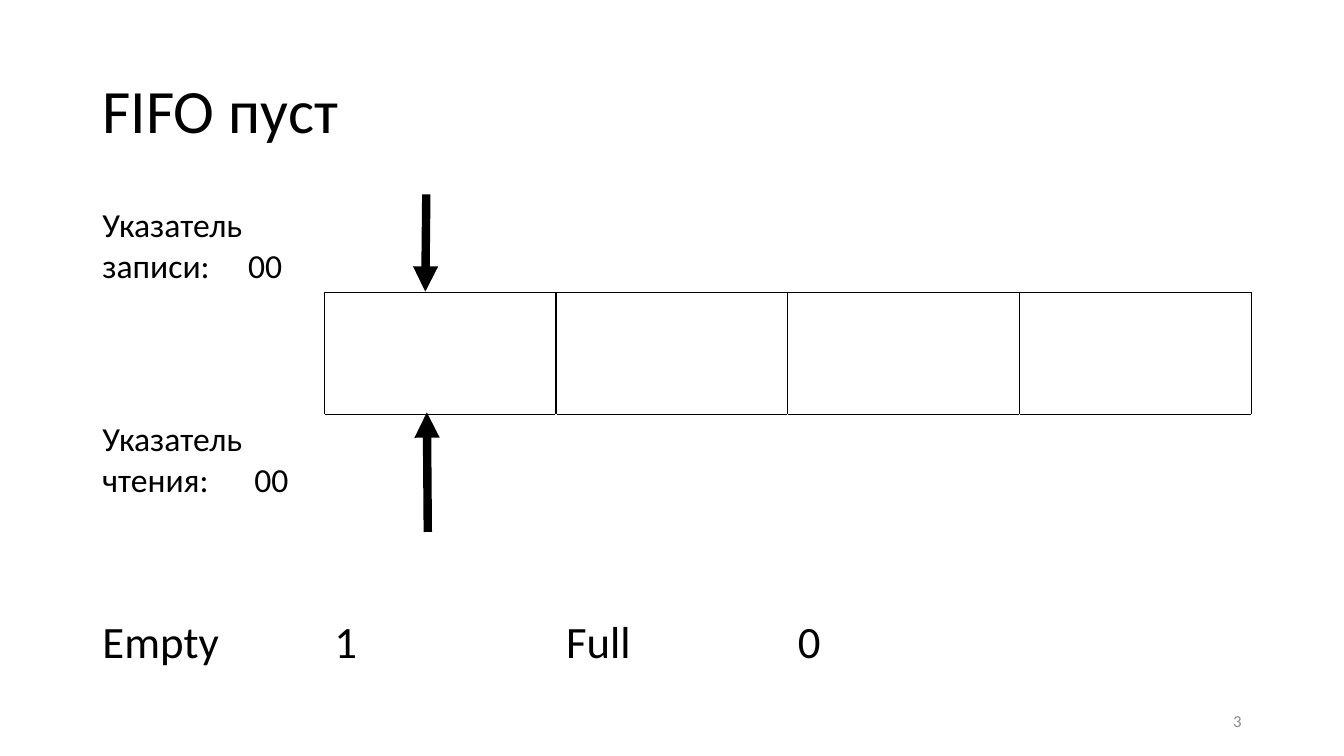
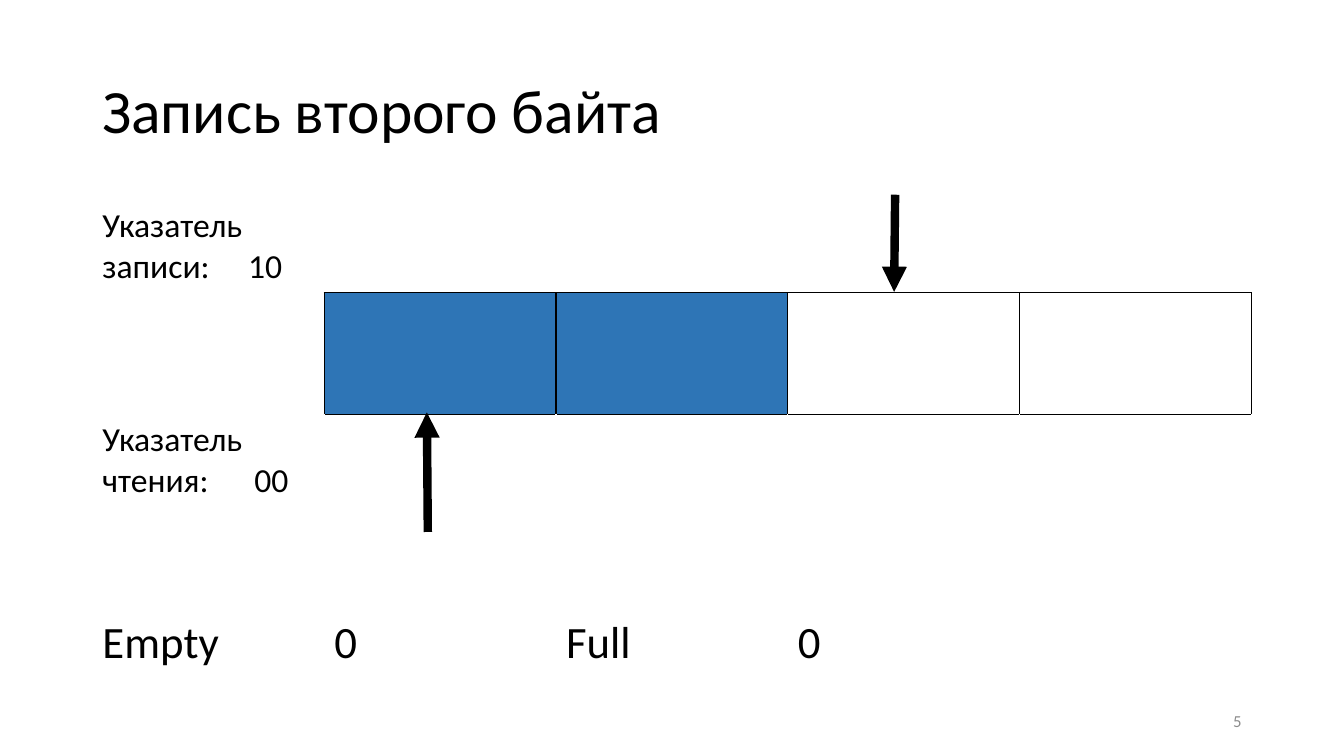
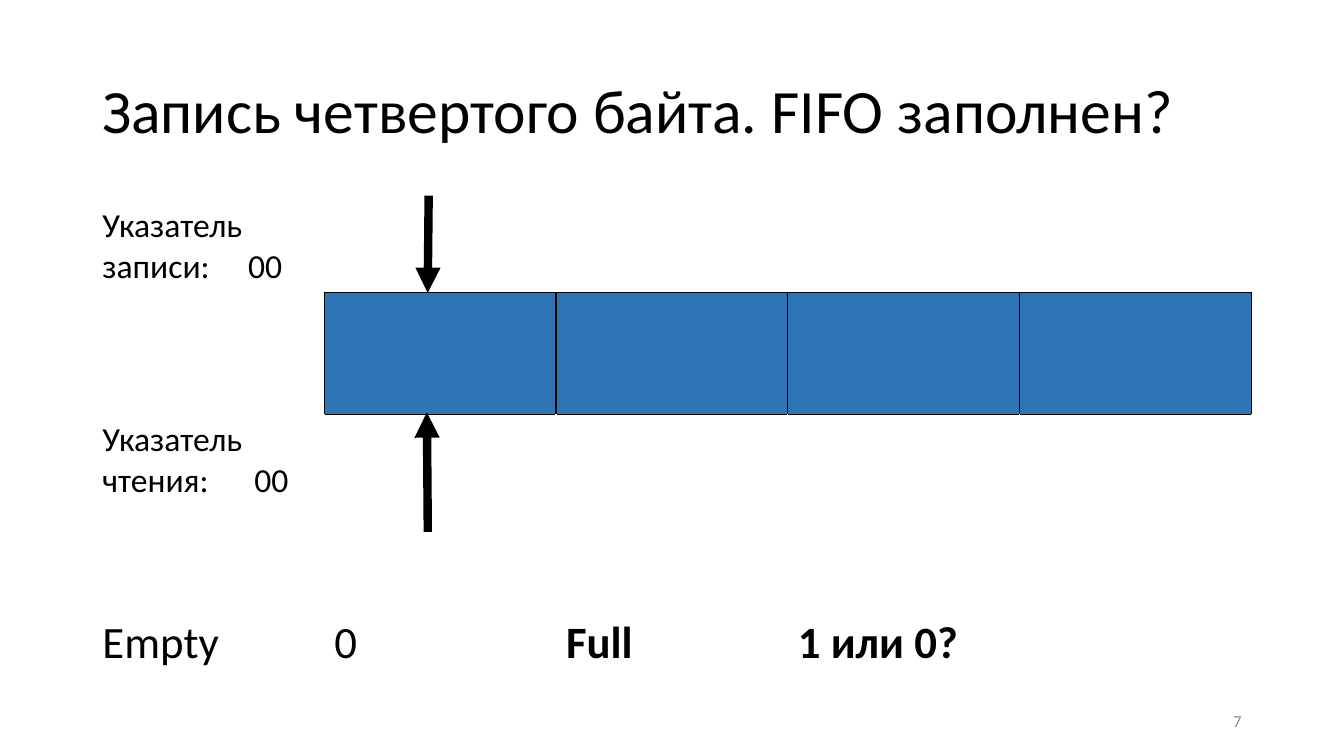
import dataclasses
import typing

import lxml.etree
import pptx
import pptx.dml.color
import pptx.enum.shapes
import pptx.enum.text
import pptx.oxml.ns
import pptx.util

Pt = pptx.util.Pt
qn = pptx.oxml.ns.qn
Anchor = pptx.enum.text.MSO_ANCHOR
Align = pptx.enum.text.PP_ALIGN

BLACK = pptx.dml.color.RGBColor(0x00, 0x00, 0x00)
WHITE = pptx.dml.color.RGBColor(0xFF, 0xFF, 0xFF)
GREY = pptx.dml.color.RGBColor(0x8C, 0x8C, 0x8C)
BLUE = pptx.dml.color.RGBColor(0x2E, 0x75, 0xB6)

FACE = "Calibri"
LEFT, WIDTH = 66, 828
TOP = 122.6
ROWS = (86.6, 86.6, 100.2, 86.6)
COLS = 5
STORE = 1  # table row that holds the FIFO cells
SIDES = {"lnL": (0, -1), "lnR": (0, 1), "lnT": (-1, 0), "lnB": (1, 0)}


class Point(typing.NamedTuple):
    x: float
    y: float


class Label(typing.NamedTuple):
    text: str
    size: float = 32
    bold: bool = False
    tab: float = 0


@dataclasses.dataclass(frozen=True)
class State:
    """What one slide tells about the FIFO."""
    title: str
    head: str
    used: int
    empty: str
    full: str
    tip: Point
    page: int
    bold: bool = False


STATES = (
    State("FIFO пуст", "00", 0, "1", "0", Point(303.8, 208.3), 3),
    State("Запись второго байта", "10", 2, "0", "0", Point(638.7, 208.5), 5),
    State("Запись четвертого байта. FIFO заполнен?", "00", 4, "0", "1 или 0?",
          Point(305.5, 209.2), 7, True),
)


def assign(target: typing.Any, form: dict[str, typing.Any]) -> None:
    for name, value in form.items():
        setattr(target, name, value)


def set_text(frame: typing.Any, label: Label, color: typing.Any = BLACK,
             **form: typing.Any) -> None:
    """Fill a text frame with one paragraph; form holds its format."""
    para = frame.paragraphs[0]
    assign(para, form)
    run = para.add_run()
    run.text = label.text
    assign(run.font, {"name": FACE, "size": Pt(label.size), "bold": label.bold})
    run.font.color.rgb = color
    if label.tab:
        stops = lxml.etree.SubElement(para._p.get_or_add_pPr(), qn("a:tabLst"))
        lxml.etree.SubElement(stops, qn("a:tab"), pos=str(Pt(label.tab)), algn="l")


def add_text(slide: typing.Any, box: tuple[float, ...], label: Label,
             color: typing.Any = BLACK, **form: typing.Any) -> None:
    frame = slide.shapes.add_textbox(*map(Pt, box)).text_frame
    assign(frame, {"word_wrap": True, "vertical_anchor": Anchor.MIDDLE})
    set_text(frame, label, color, **form)


def add_arrow(slide: typing.Any, start: Point, end: Point) -> None:
    arrow = slide.shapes.add_connector(
        pptx.enum.shapes.MSO_CONNECTOR.STRAIGHT, *map(Pt, (*start, *end)))
    arrow.line.width = Pt(6)
    arrow.line.color.rgb = BLACK
    lxml.etree.SubElement(arrow.line._get_or_add_ln(), qn("a:tailEnd"), type="triangle")
    lxml.etree.SubElement(arrow._element.spPr, qn("a:effectLst"))


def in_store(row: int, col: int) -> bool:
    return row == STORE and 1 <= col < COLS


def add_edges(cell: typing.Any, row: int, col: int) -> None:
    """Draw black edges around the FIFO cells and white ones elsewhere."""
    props = cell._tc.get_or_add_tcPr()
    for side, (down, right) in SIDES.items():
        dark = in_store(row, col) or in_store(row + down, col + right)
        line = lxml.etree.SubElement(props, qn(f"a:{side}"), w=str(Pt(1)))
        fill = lxml.etree.SubElement(line, qn("a:solidFill"))
        lxml.etree.SubElement(fill, qn("a:srgbClr"), val=str(BLACK if dark else WHITE))


def add_grid(slide: typing.Any, state: State) -> None:
    labels = {
        (0, 0): Label(f"Указатель записи:\t{state.head}", 24, tab=104),
        (2, 0): Label("Указатель чтения:\t00", 24, tab=108.5),
        (3, 0): Label("Empty"),
        (3, 1): Label(state.empty),
        (3, 2): Label("Full", bold=state.bold),
        (3, 3): Label(state.full, bold=state.bold),
    }
    box = (LEFT, TOP, WIDTH, sum(ROWS))
    table = slide.shapes.add_table(len(ROWS), COLS, *map(Pt, box)).table
    assign(table, {"first_row": False, "horz_banding": False})
    for col in table.columns:
        col.width = Pt(WIDTH / COLS)
    for row, height in enumerate(ROWS):
        table.rows[row].height = Pt(height)
        for col in range(COLS):
            cell = table.cell(row, col)
            add_edges(cell, row, col)
            full = in_store(row, col) and col <= state.used
            cell.fill.solid()
            cell.fill.fore_color.rgb = BLUE if full else WHITE
            cell.vertical_anchor = Anchor.TOP if row == 2 else Anchor.BOTTOM
            if (row, col) in labels:
                set_text(cell.text_frame, labels[row, col])


def add_state(deck: typing.Any, state: State) -> None:
    slide = deck.slides.add_slide(deck.slide_layouts[6])
    add_grid(slide, state)
    add_text(slide, (LEFT, 28.75, WIDTH, 104.4), Label(state.title, 44),
             line_spacing=0.9)
    add_arrow(slide, Point(state.tip.x + 0.7, state.tip.y - 69.4), state.tip)
    add_arrow(slide, Point(305.6, 380), Point(304.9, 294.6))
    add_text(slide, (678, 500.5, 216, 28.75), Label(str(state.page), 12), GREY,
             alignment=Align.RIGHT)


def main() -> None:
    deck = pptx.Presentation()
    assign(deck, {"slide_width": Pt(960), "slide_height": Pt(540)})
    for state in STATES:
        add_state(deck, state)
    deck.save("out.pptx")


if __name__ == "__main__":
    main()
